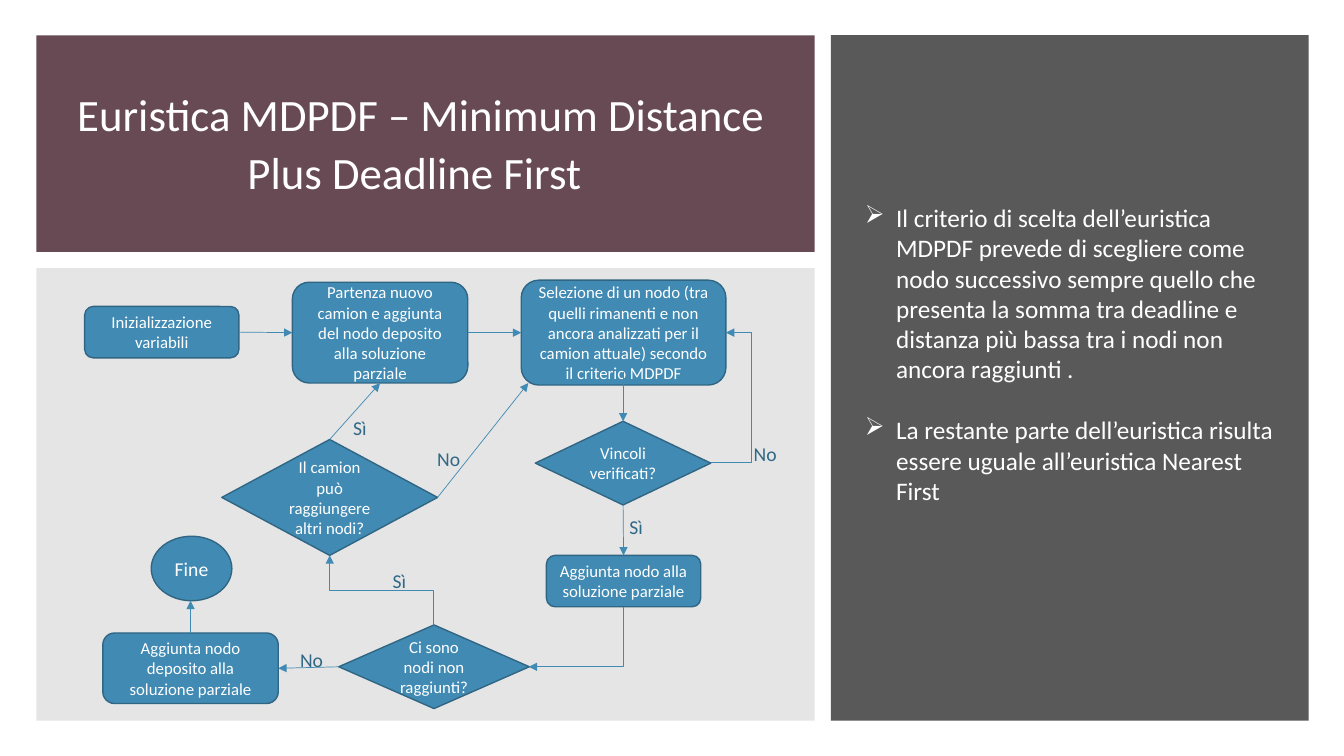
from pptx import Presentation
from pptx.dml.color import RGBColor
from pptx.enum.shapes import MSO_CONNECTOR as Link, MSO_SHAPE as Kind
from pptx.enum.text import MSO_ANCHOR as Anchor, PP_ALIGN as Align
from pptx.oxml.ns import qn
from pptx.util import Inches, Pt
from lxml.etree import SubElement as Sub

BLUE, EDGE, LABEL, WHITE = "418AB3", "306684", "316886", "FFFFFF"
TOP, LEFT, BOTTOM, RIGHT = range(4)

NODES = {
    "start": (Kind.ROUNDED_RECTANGLE, (0.84, 3.04, 1.53, 0.51),
              "Inizializzazione variabili"),
    "pick": (Kind.ROUNDED_RECTANGLE, (5.17, 2.78, 2.03, 1.04),
             "Selezione di un nodo (tra quelli rimanenti e non ancora analizzati "
             "per il camion attuale) secondo il criterio MDPDF"),
    "check": (Kind.FLOWCHART_DECISION, (5.31, 4.18, 1.74, 0.83),
              "Vincoli verificati?"),
    "truck": (Kind.ROUNDED_RECTANGLE, (2.9, 2.8, 1.74, 1),
              "Partenza nuovo camion e aggiunta del nodo deposito alla "
              "soluzione parziale"),
    "add": (Kind.ROUNDED_RECTANGLE, (5.42, 5.51, 1.53, 0.51),
            "Aggiunta nodo alla soluzione parziale"),
    "left": (Kind.FLOWCHART_DECISION, (3.36, 6.2, 1.89, 0.83),
             "Ci sono nodi non raggiunti?"),
    "depot": (Kind.ROUNDED_RECTANGLE, (1.02, 6.28, 1.74, 0.7),
              "Aggiunta nodo deposito alla soluzione parziale"),
    "reach": (Kind.FLOWCHART_DECISION, (2.2, 4.36, 2.14, 1.15),
              "Il camion può raggiungere altri nodi?"),
    "end": (Kind.OVAL, (1.5, 5.32, 0.8, 0.64), "Fine"),
}

# An end is a node with its side, or a free point.
ARROWS = [
    (("start", RIGHT), ("truck", LEFT)),
    (("truck", RIGHT), ("pick", LEFT)),
    ((6.18, 3.69), ("check", TOP)),
    (("check", BOTTOM), ("add", TOP)),
    (("left", LEFT), ("depot", RIGHT)),
    (("reach", TOP), ("truck", BOTTOM)),
    (("reach", RIGHT), (5.24, 3.8)),
    (("depot", TOP), (1.89, 5.96)),
]

# Box before rotation, preset, rotation, upward flip, place of the bend.
BENDS = [
    ((5.42, 5.85, 0.59, 0.94), "bentConnector2", 90, False, None),
    ((3.44, 5.34, 0.69, 1.03), "bentConnector3", 270, True, 0.5),
    ((7.05, 3.3, 0.15, 1.29), "bentConnector3", 0, True, 2.67),
]

LABELS = [
    ("Sì", 3.25, 4.08), ("No", 4.13, 4.38), ("Sì", 3.64, 5.59),
    ("No", 2.77, 6.38), ("Sì", 5.99, 5.06), ("No", 7.27, 4.33),
]

POINTS = [
    "Il criterio di scelta dell’euristica MDPDF prevede di scegliere come nodo "
    "successivo sempre quello che presenta la somma tra deadline e distanza più "
    "bassa tra i nodi non ancora raggiunti .",
    "La restante parte dell’euristica risulta essere uguale all’euristica "
    "Nearest First",
]


def paint(form, color):
    form.solid()
    form.fore_color.rgb = RGBColor.from_string(color)


def style(para, size, color, align=Align.CENTER):
    para.alignment = align
    para.font.name, para.font.size = "Calibri", Pt(size)
    para.font.color.rgb = RGBColor.from_string(color)


def add_block(slide, kind, box, color):
    block = slide.shapes.add_shape(kind, *map(Inches, box))
    block.shadow.inherit = False
    paint(block.fill, color)
    block.line.fill.background()
    return block


def add_node(slide, kind, box, text):
    node = add_block(slide, kind, box, BLUE)
    paint(node.line.fill, EDGE)
    node.line.width = Pt(1)
    frame = node.text_frame
    frame.word_wrap, frame.vertical_anchor = True, Anchor.MIDDLE
    frame.text = text
    style(frame.paragraphs[0], 14 if kind == Kind.OVAL else 12, WHITE)
    return node


def add_text(slide, box):
    frame = slide.shapes.add_textbox(*map(Inches, box)).text_frame
    frame.word_wrap = True
    return frame


def finish(line):
    """Give a connector its colour, arrowhead and no shadow."""
    paint(line.line.fill, BLUE)
    line.line.width = Pt(0.5)
    props = line._element.spPr
    Sub(props.find(qn("a:ln")), qn("a:tailEnd"), type="triangle")
    Sub(props, qn("a:effectLst"))


def add_arrow(slide, nodes, start, end):
    ends = [(0, 0) if p[0] in nodes else p for p in (start, end)]
    line = slide.shapes.add_connector(
        Link.STRAIGHT, *(Inches(v) for p in ends for v in p))
    for point, join in ((start, line.begin_connect), (end, line.end_connect)):
        if point[0] in nodes:
            join(nodes[point[0]], point[1])
    finish(line)


def add_bend(slide, box, preset, turn, flip, place):
    x, y, wide, high = box
    y1, y2 = (y + high, y) if flip else (y, y + high)
    line = slide.shapes.add_connector(
        Link.ELBOW, *map(Inches, (x, y1, x + wide, y2)))
    props = line._element.spPr
    if turn:
        props.find(qn("a:xfrm")).set("rot", str(turn * 60000))
    shape = props.find(qn("a:prstGeom"))
    shape.set("prst", preset)
    if place:
        Sub(shape.find(qn("a:avLst")), qn("a:gd"), name="adj1",
            fmla=f"val {round(place * 100000)}")
    finish(line)


def add_title(slide):
    frame = add_text(slide, (0.57, 0.57, 7.21, 1.78))
    frame.vertical_anchor = Anchor.MIDDLE
    para = frame.paragraphs[0]
    style(para, 32, WHITE)
    para.line_spacing = 0.9
    para.add_run().text = "Euristica MDPDF – Minimum Distance Plus Deadline First"
    gap = para.add_run()
    gap.text, gap.font.size = " ", Pt(40)


def add_points(slide):
    frame = add_text(slide, (8.48, 1.96, 4.28, 3.13))
    for i, text in enumerate(POINTS):
        para = frame.add_paragraph() if i else frame.paragraphs[0]
        para.text = text
        style(para, 18, WHITE, Align.LEFT)
        para.space_before = Pt(22 if i else 0)
        props = para._p.get_or_add_pPr()
        props.set("marL", str(Inches(0.31)))
        props.set("indent", str(-Inches(0.31)))
        bullet = props.makeelement(qn("a:buChar"), {"char": "➢"})
        props.find(qn("a:defRPr")).addprevious(bullet)


def main():
    deck = Presentation()
    deck.slide_width, deck.slide_height = Inches(13.33), Inches(7.5)
    slide = deck.slides.add_slide(deck.slide_layouts[6])
    add_block(slide, Kind.RECTANGLE, (0.36, 0.35, 7.72, 2.15), "684A54")
    add_title(slide)
    panel = add_block(slide, Kind.RECTANGLE, (0.36, 2.66, 7.72, 4.49), "7F7F7F")
    tint = panel._element.spPr.find(qn("a:solidFill"))[0]
    Sub(tint, qn("a:alpha"), val="20000")
    add_block(slide, Kind.RECTANGLE, (8.24, 0.35, 4.74, 6.8), "595959")
    add_points(slide)
    nodes = {name: add_node(slide, *node) for name, node in NODES.items()}
    for start, end in ARROWS:
        add_arrow(slide, nodes, start, end)
    for bend in BENDS:
        add_bend(slide, *bend)
    for text, x, y in LABELS:
        frame = add_text(slide, (x, y, 0.64, 0.31))
        frame.text = text
        style(frame.paragraphs[0], 14, LABEL)
    deck.save("out.pptx")


if __name__ == "__main__":
    main()
